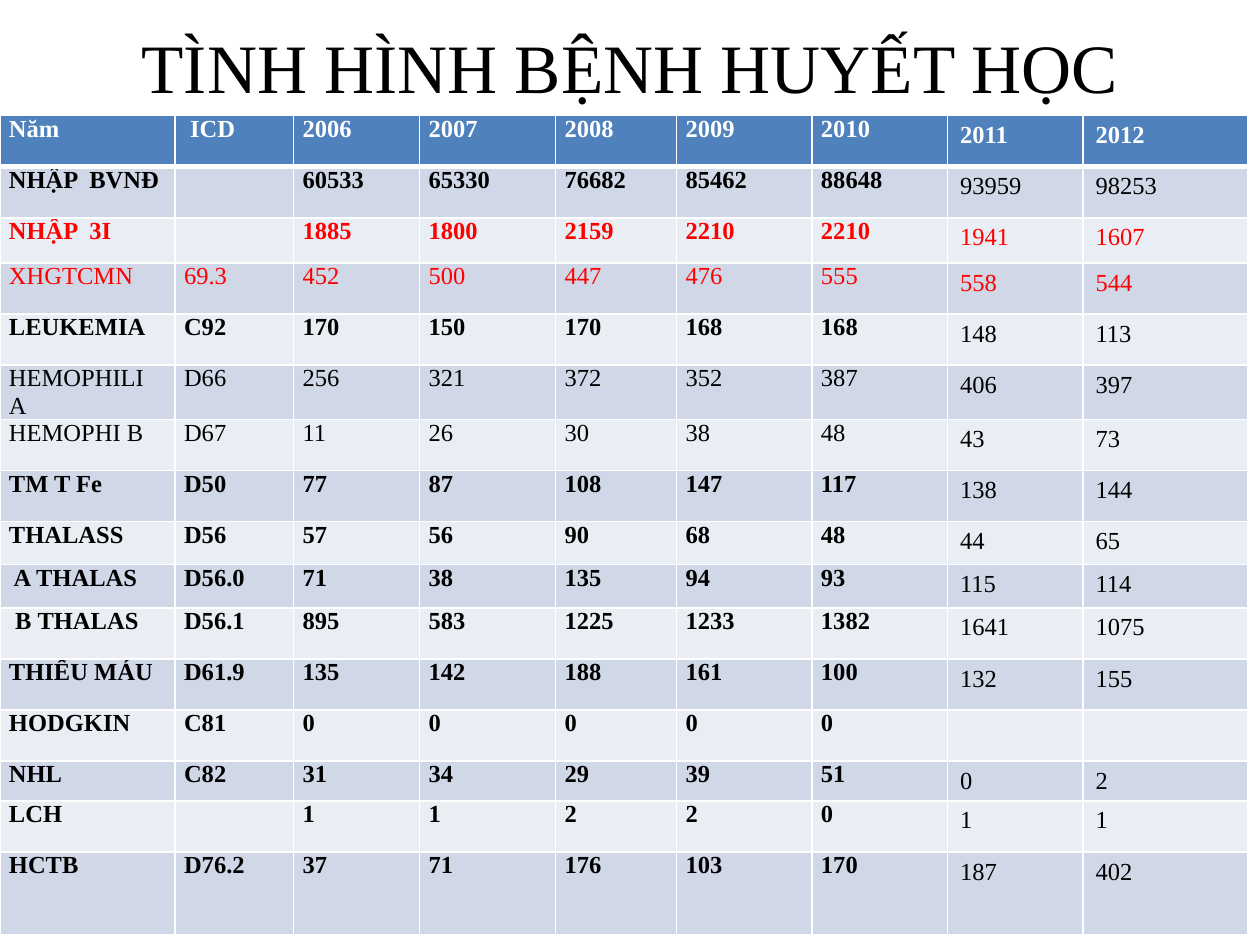
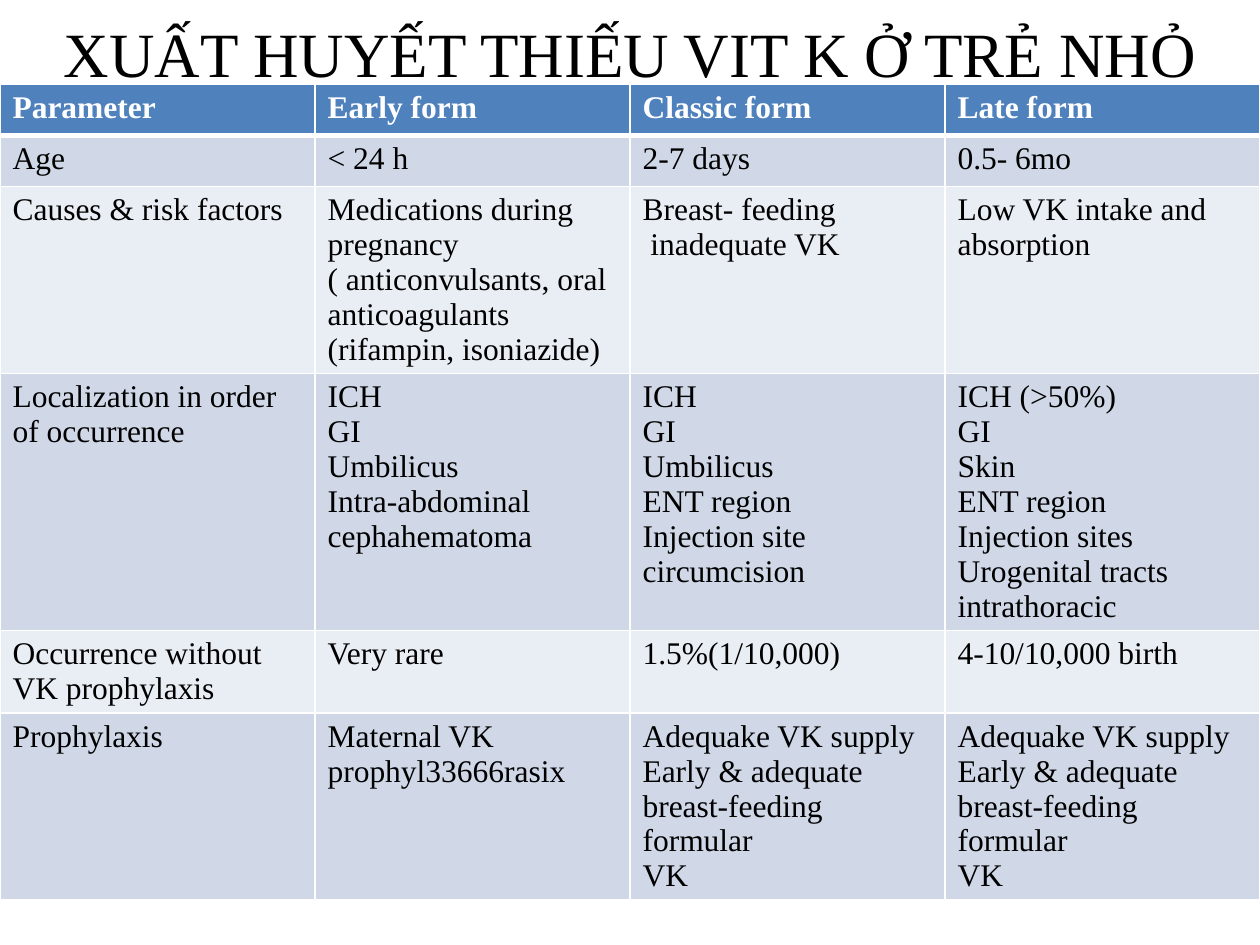
from dataclasses import dataclass

from lxml.etree import SubElement
from pptx import Presentation
from pptx.dml.color import RGBColor as Rgb
from pptx.enum.text import MSO_ANCHOR as Anchor, PP_ALIGN as Align
from pptx.oxml.ns import qn
from pptx.util import Cm, Pt


@dataclass(frozen=True)
class Theme:
    font: str = "Times New Roman"
    text: str = "000000"
    alert: str = "FF0000"
    white: str = "FFFFFF"
    header: str = "4F81BD"
    bands: tuple = ("D0D8E8", "E9EDF4")
    statistics_title: float = 39.6
    forms_title: float = 36
    statistics_size: float = 14
    forms_size: float = 18
    thin_line: float = 1
    header_line: float = 3


THEME = Theme()
TITLE_ONLY = 5
ROW = 1.03  # height of a one-line row, in cm

STATISTICS_WIDTHS = [3.53, 2.39, 2.54, 2.74, 2.44, 2.73, 2.73, 2.73, 3.33]
YEARS = [str(year) for year in range(2006, 2013)]
FIRST_WIDE_COLUMN = 7  # 2011 and 2012 have wider margins and regular type

# Row height, disease, ICD code, one value for each year
STATISTICS = [
    (ROW, "NHẬP  BVNĐ", "", "60533 65330 76682 85462 88648 93959 98253"),
    (0.91, "NHẬP  3I", "", "1885 1800 2159 2210 2210 1941 1607"),
    (ROW, "XHGTCMN", "69.3", "452 500 447 476 555 558 544"),
    (ROW, "LEUKEMIA", "C92", "170 150 170 168 168 148 113"),
    (1.09, "HEMOPHILI A", "D66", "256 321 372 352 387 406 397"),
    (ROW, "HEMOPHI B", "D67", "11 26 30 38 48 43 73"),
    (ROW, "TM T Fe", "D50", "77 87 108 147 117 138 144"),
    (0.87, "THALASS", "D56", "57 56 90 68 48 44 65"),
    (0.87, " Α THALAS", "D56.0", "71 38 135 94 93 115 114"),
    (ROW, " Β THALAS", "D56.1", "895 583 1225 1233 1382 1641 1075"),
    (ROW, "THIẾU MÁU", "D61.9", "135 142 188 161 100 132 155"),
    (ROW, "HODGKIN", "C81", "0 0 0 0 0"),
    (0.79, "NHL", "C82", "31 34 29 39 51 0 2"),
    (ROW, "LCH", "", "1 1 2 2 0 1 1"),
    (1.67, "HCTB", "D76.2", "37 71 176 103 170 187 402"),
]
RED_DISEASES = {"NHẬP  3I", "XHGTCMN"}
REGULAR_DISEASES = {"XHGTCMN", "HEMOPHILI A", "HEMOPHI B"}

FORM_HEIGHTS = [ROW, ROW, 3.77, 5.18, 1.65, 3.77]
ADEQUATE_SUPPLY = "Adequake VK supply\nEarly & adequate breast-feeding formular\nVK"
FORMS = [
    ["Parameter", "Early form", "Classic form", "Late form"],
    ["Age", "< 24 h", "2-7 days", "0.5- 6mo"],
    ["Causes & risk factors",
     "Medications during pregnancy\n"
     "( anticonvulsants, oral anticoagulants (rifampin, isoniazide)",
     "Breast- feeding\n inadequate VK",
     "Low VK intake and absorption"],
    ["Localization in order of occurrence",
     "ICH\nGI\nUmbilicus\nIntra-abdominal\ncephahematoma",
     "ICH\nGI\nUmbilicus\nENT region\nInjection site\ncircumcision",
     "ICH (>50%)\nGI\nSkin\nENT region\nInjection sites\nUrogenital tracts\nintrathoracic"],
    ["Occurrence without VK prophylaxis", "Very rare", "1.5%(1/10,000)",
     "4-10/10,000 birth"],
    ["Prophylaxis", "Maternal VK prophyl33666rasix", ADEQUATE_SUPPLY, ADEQUATE_SUPPLY],
]


def format_text(text_frame, size, color, bold=False):
    for paragraph in text_frame.paragraphs:
        for run in paragraph.runs:
            font = run.font
            font.name, font.size, font.bold = THEME.font, Pt(size), bold
            font.color.rgb = Rgb.from_string(color)


def add_titled_slide(presentation, text, size, left, top, width, height):
    slide = presentation.slides.add_slide(presentation.slide_layouts[TITLE_ONLY])
    title = slide.shapes.title
    title.left, title.top, title.width, title.height = map(Cm, (left, top, width, height))
    text_frame = title.text_frame
    text_frame.text = text
    text_frame.vertical_anchor = Anchor.MIDDLE
    text_frame.paragraphs[0].alignment = Align.CENTER
    format_text(text_frame, size, THEME.text)
    return slide


def set_borders(cell, row):
    """Draw white borders, heavier between the header and the first row."""
    heavy_side = {0: "B", 1: "T"}.get(row)
    properties = cell._tc.get_or_add_tcPr()
    for side in "LRTB":
        width = THEME.header_line if side == heavy_side else THEME.thin_line
        line = SubElement(properties, qn(f"a:ln{side}"), w=str(Pt(width)))
        fill = SubElement(line, qn("a:solidFill"))
        SubElement(fill, qn("a:srgbClr"), val=THEME.white)


def add_banded_table(slide, rows, top, widths, heights):
    frame = slide.shapes.add_table(len(rows), len(widths), 0, Cm(top),
                                   Cm(sum(widths)), Cm(sum(heights)))
    table = frame.table
    for column, width in zip(table.columns, widths):
        column.width = Cm(width)
    for table_row, height in zip(table.rows, heights):
        table_row.height = Cm(height)
    for row, texts in enumerate(rows):
        color = THEME.bands[(row - 1) % 2] if row else THEME.header
        for column, text in enumerate(texts):
            cell = table.cell(row, column)
            set_borders(cell, row)
            cell.fill.solid()
            cell.fill.fore_color.rgb = Rgb.from_string(color)
            cell.text_frame.text = text
    return table


def add_statistics_slide(presentation):
    slide = add_titled_slide(presentation, "TÌNH HÌNH BỆNH HUYẾT HỌC",
                             THEME.statistics_title, 1.27, 0.76, 22.86, 1.14)
    rows = [["Năm", " ICD", *YEARS]]
    rows += [[disease, code, *values.split()] for _, disease, code, values in STATISTICS]
    for row in rows:
        row += [""] * (len(STATISTICS_WIDTHS) - len(row))
    heights = [ROW] + [height for height, *_ in STATISTICS]
    table = add_banded_table(slide, rows, 2.33, STATISTICS_WIDTHS, heights)

    for row, (disease, *_) in enumerate(rows):
        color = THEME.alert if disease in RED_DISEASES else THEME.text
        for column in range(len(STATISTICS_WIDTHS)):
            cell = table.cell(row, column)
            narrow = column < FIRST_WIDE_COLUMN
            if narrow:
                cell.margin_left = cell.margin_right = Cm(0.18)
                cell.margin_top = cell.margin_bottom = 0
            bold = row == 0 or (narrow and disease not in REGULAR_DISEASES)
            format_text(cell.text_frame, THEME.statistics_size,
                        color if row else THEME.white, bold)


def add_forms_slide(presentation):
    slide = add_titled_slide(presentation, "XUẤT HUYẾT THIẾU VIT K Ở TRẺ NHỎ",
                             THEME.forms_title, 0, 0, 25.4, 2.11)
    table = add_banded_table(slide, FORMS, 1.7, [6.35] * 4, FORM_HEIGHTS)
    for row, table_row in enumerate(table.rows):
        for cell in table_row.cells:
            format_text(cell.text_frame, THEME.forms_size,
                        THEME.text if row else THEME.white, bold=row == 0)


def main():
    presentation = Presentation()
    presentation.slide_width, presentation.slide_height = Cm(25.4), Cm(19.05)
    add_statistics_slide(presentation)
    add_forms_slide(presentation)
    presentation.save("out.pptx")


if __name__ == "__main__":
    main()
